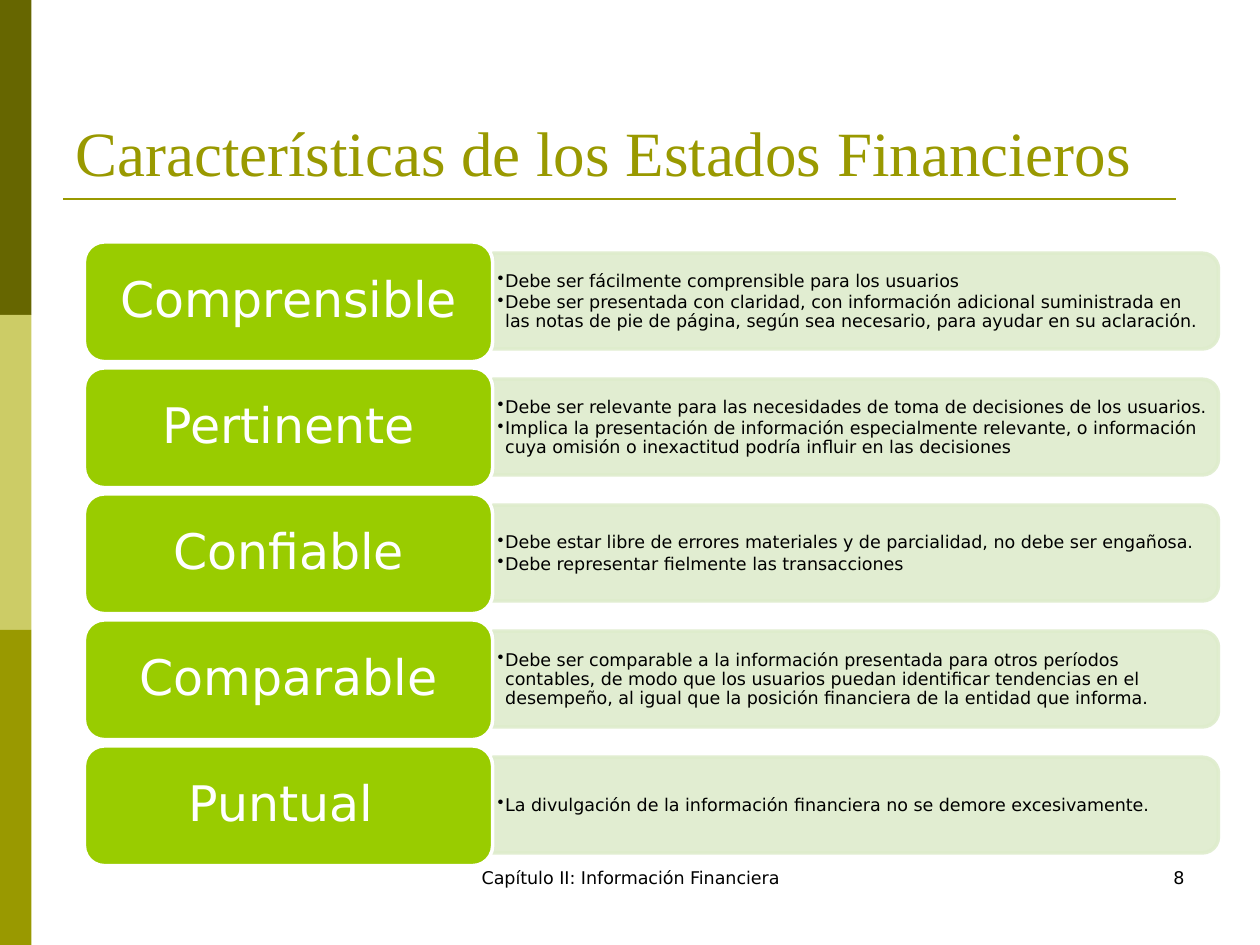
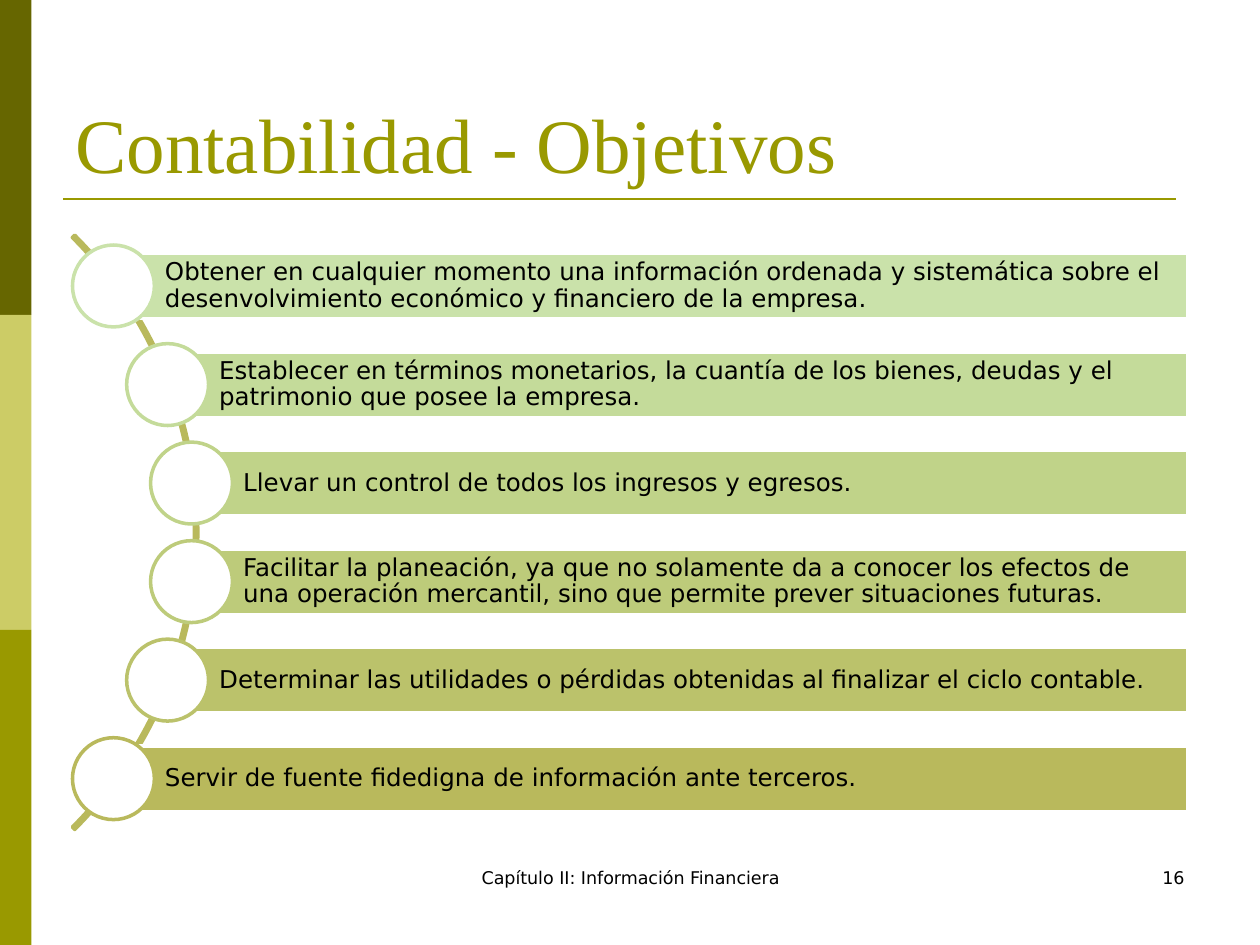
import pptx
import pptx.dml.color
import pptx.enum.shapes
import pptx.enum.text
import pptx.oxml.ns
import pptx.util
from dataclasses import dataclass
from lxml import etree

Inches = pptx.util.Inches
Pt = pptx.util.Pt
RGB = pptx.dml.color.RGBColor.from_string
qn = pptx.oxml.ns.qn
PRESET = pptx.enum.shapes.MSO_SHAPE
ALIGN = pptx.enum.text.PP_ALIGN
ANCHOR = pptx.enum.text.MSO_ANCHOR


@dataclass(frozen=True)
class Theme:
    olive: str = "999900"
    bands: tuple = ("666600", "CCCC66", "999900")
    label: str = "99CC00"
    detail: str = "DEECCC"
    arc: str = "B9B95C"
    steps: tuple = ("CAE2AA", "C4DB9A", "C0D389", "BDCB7A", "BBC26B", "B9B95C")
    white: str = "FFFFFF"
    black: str = "000000"
    title_font: str = "Times New Roman"
    body_font: str = "DejaVu Sans"
    small: int = 10
    body: int = 14
    label_size: int = 28
    outline: int = 2


theme = Theme()


def write(holder, text, size=theme.small, color=theme.black, font=theme.body_font,
          align=ALIGN.LEFT, anchor=ANCHOR.TOP, insets=(0.1, 0.05, 0.1, 0.05),
          spacing=None, after=None, bullet=False):
    """Fill a shape or text box; each line of text becomes a paragraph."""
    frame = holder.text_frame
    frame.word_wrap = True
    frame.vertical_anchor = anchor
    frame.margin_left, frame.margin_top, frame.margin_right, frame.margin_bottom = map(Inches, insets)
    frame.text = text
    for paragraph in frame.paragraphs:
        paragraph.alignment = align
        paragraph.line_spacing = spacing
        paragraph.space_after = after
        paragraph.font.size = Pt(size)
        for run in paragraph.runs:
            run.font.size = Pt(size)
            run.font.name = font
            run.font.color.rgb = RGB(color)
        if bullet:
            properties = paragraph._p.get_or_add_pPr()
            properties.set("marL", str(Inches(0.06)))
            properties.set("indent", str(-Inches(0.06)))
            etree.SubElement(properties, qn("a:buChar")).set("char", "•")


def block(slide, preset, left, top, width, height, fill=None, line=None, opacity=None):
    """Add a flat preset shape, optionally outlined or see-through."""
    shape = slide.shapes.add_shape(preset, Inches(left), Inches(top), Inches(width), Inches(height))
    shape.shadow.inherit = False
    for paint, color in ((shape.fill, fill), (shape.line.fill, line)):
        if color is None:
            paint.background()
        else:
            paint.solid()
            paint.fore_color.rgb = RGB(color)
    if line:
        shape.line.width = Pt(theme.outline)
    if opacity:
        for color in shape._element.spPr.iter(qn("a:srgbClr")):
            etree.SubElement(color, qn("a:alpha")).set("val", str(opacity * 1000))
    return shape


deck = pptx.Presentation()
deck.slide_width, deck.slide_height = Inches(10), Inches(7.5)

# Shared frame: side bands, title, rule, footer and page number
pages = []
for title, title_size, number in (("Características de los Estados Financieros", 36, "8"),
                                  ("Contabilidad - Objetivos", 44, "16")):
    page = deck.slides.add_slide(deck.slide_layouts[6])
    pages.append(page)
    for i, band_color in enumerate(theme.bands):
        block(page, PRESET.RECTANGLE, 0, 2.5 * i, 0.25, 2.5, band_color)

    rule = page.shapes.add_connector(pptx.enum.shapes.MSO_CONNECTOR.STRAIGHT,
                                     Inches(0.5), Inches(1.58), Inches(9.33), Inches(1.58))
    rule.line.color.rgb = RGB(theme.olive)
    rule.line.width = Pt(1.5)
    etree.SubElement(rule._element.spPr, qn("a:effectLst"))

    heading = page.shapes.add_textbox(Inches(0.5), Inches(0.3), Inches(9), Inches(1.25))
    write(heading, title, size=title_size, color=theme.olive, font=theme.title_font,
          anchor=ANCHOR.BOTTOM)
    for left, width, text, align in ((3.42, 3.17, "Capítulo II: Información Financiera", ALIGN.CENTER),
                                     (7.17, 2.33, number, ALIGN.RIGHT)):
        footer = page.shapes.add_textbox(Inches(left), Inches(6.83), Inches(width), Inches(0.5))
        write(footer, text, align=align)

features_page, goals_page = pages

# Features: a label on the left and its explanation on the right
features = (
    ("Comprensible",
     "Debe ser fácilmente comprensible para los usuarios\n"
     "Debe ser presentada con claridad, con información adicional suministrada en las notas "
     "de pie de página, según sea necesario, para ayudar en su aclaración."),
    ("Pertinente",
     "Debe ser relevante para las necesidades de toma de decisiones de los usuarios.\n"
     "Implica la presentación de información especialmente relevante, o información cuya "
     "omisión o inexactitud podría influir en las decisiones"),
    ("Confiable",
     "Debe estar libre de errores materiales y de parcialidad, no debe ser engañosa.\n"
     "Debe representar fielmente las transacciones"),
    ("Comparable",
     "Debe ser comparable a la información presentada para otros períodos contables, de modo "
     "que los usuarios puedan identificar tendencias en el desempeño, al igual que la posición "
     "financiera de la entidad que informa."),
    ("Puntual ",
     "La divulgación de la información financiera no se demore excesivamente."),
)
for i, (name, details) in enumerate(features):
    # The panel is a tall tab turned on its side
    panel = block(features_page, PRESET.ROUND_2_SAME_RECTANGLE, 6.41, i - 0.49, 0.76, 5.76,
                  theme.detail, theme.detail, opacity=90)
    panel.rotation = 90
    explanation = features_page.shapes.add_textbox(Inches(3.91), Inches(2.05 + i),
                                                   Inches(5.72), Inches(0.69))
    write(explanation, details, anchor=ANCHOR.MIDDLE, insets=(0.04, 0.02, 0.04, 0.02),
          spacing=0.9, after=Pt(1.5), bullet=True)
    label = block(features_page, PRESET.ROUNDED_RECTANGLE, 0.67, 1.92 + i, 3.24, 0.95,
                  theme.label, theme.white)
    write(label, name, size=theme.label_size, color=theme.white, align=ALIGN.CENTER,
          anchor=ANCHOR.MIDDLE, insets=(0.12, 0.06, 0.12, 0.06), spacing=0.9)

# Goals: bars with circles strung along an arc
arc = block(goals_page, PRESET.BLOCK_ARC, -5.1, 0.89, 6.67, 6.67, line=theme.arc)
for i, value in enumerate((189, 27, 0.004)):  # from 315 to 45 degrees, hair-thin
    arc.adjustments[i] = value

goals = (
    (0.9, "Obtener en cualquier momento una información ordenada y sistemática sobre el "
          "desenvolvimiento económico y financiero de la empresa."),
    (1.33, "Establecer en términos monetarios, la cuantía de los bienes, deudas y el "
           "patrimonio que posee la empresa."),
    (1.52, "Llevar un control de todos los ingresos y egresos."),
    (1.52, "Facilitar la planeación, ya que no solamente da a conocer los efectos de una "
           "operación mercantil, sino que permite prever situaciones futuras."),
    (1.33, "Determinar las utilidades o pérdidas obtenidas al finalizar el ciclo contable."),
    (0.9, "Servir de fuente fidedigna de información ante terceros."),
)
bar_right, bar_height, circle_size = 9.43, 0.52, 0.65
first_center, last_center = 2.27, 6.18
pitch = (last_center - first_center) / (len(goals) - 1)
for i, ((left, goal), step_color) in enumerate(zip(goals, theme.steps)):
    center = first_center + pitch * i
    bar = block(goals_page, PRESET.RECTANGLE, left, center - bar_height / 2,
                bar_right - left, bar_height, step_color, theme.white)
    write(bar, goal, size=theme.body, anchor=ANCHOR.MIDDLE,
          insets=(0.41, 0.04, 0.04, 0.04), spacing=0.9)
    block(goals_page, PRESET.OVAL, left - circle_size / 2, center - circle_size / 2,
          circle_size, circle_size, theme.white, step_color)

deck.save("out.pptx")
